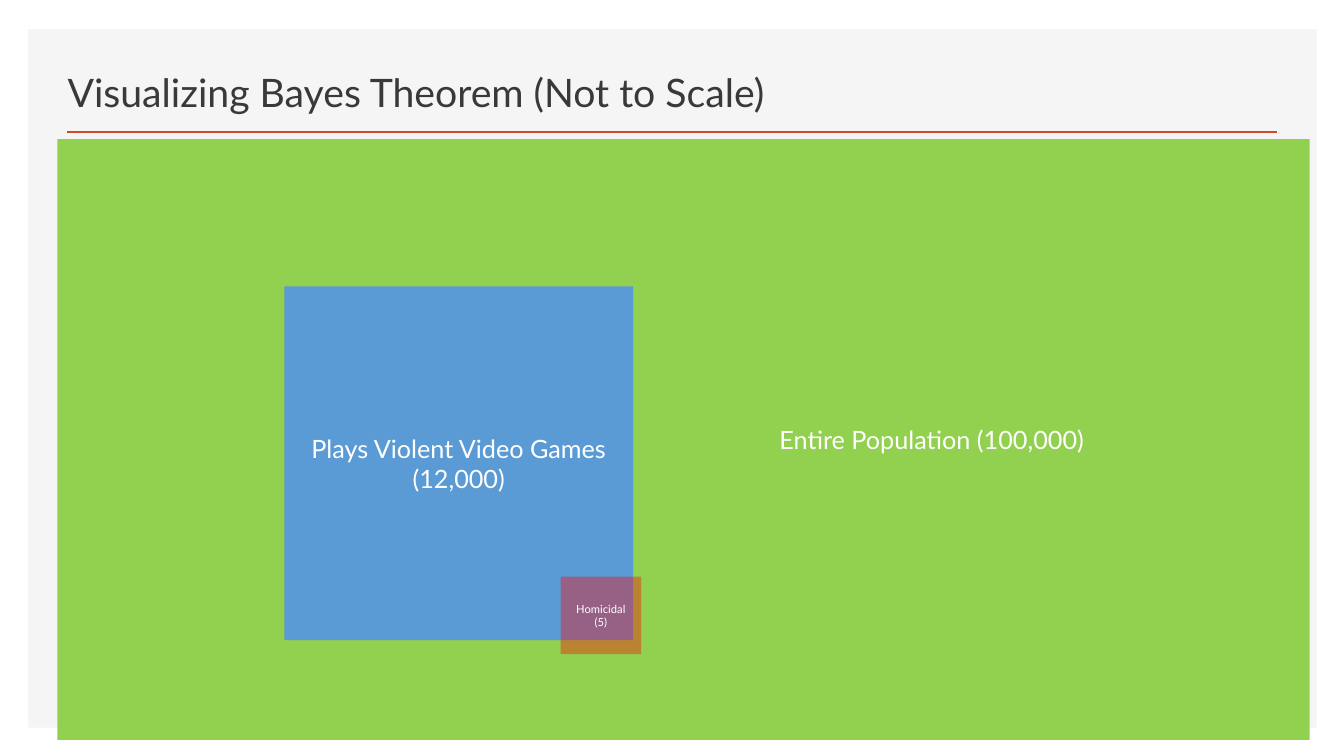
from dataclasses import dataclass

from lxml import etree
from pptx import Presentation
from pptx.dml.color import RGBColor
from pptx.enum import shapes, text
from pptx.oxml import ns
from pptx.util import Inches, Pt

FONT = "Lato"
WHITE = RGBColor(0xFF, 0xFF, 0xFF)
PALE = RGBColor(0xF5, 0xF5, 0xF5)
INK = RGBColor(0x3B, 0x38, 0x38)
RUST = RGBColor(0xD2, 0x47, 0x26)
GREEN = RGBColor(0x92, 0xD0, 0x50)
BLUE = RGBColor(0x5B, 0x9B, 0xD5)
RED = RGBColor(0xFF, 0x00, 0x00)


@dataclass
class Area:
    left: float
    top: float
    width: float
    height: float
    fill: RGBColor
    label: str = ""
    size: float = 18
    inset: float = 0.1
    alpha: int = 100


AREAS = [
    Area(0.28, 0.29, 12.78, 6.93, PALE),
    Area(0.57, 1.38, 12.42, 5.96, GREEN, "Entire Population (100,000)", inset=5.02),
    Area(2.82, 2.84, 3.46, 3.51, BLUE, "Plays Violent Video Games\n(12,000)"),
    Area(5.56, 5.72, 0.8, 0.77, RED, "Homicidal\n(5)", size=8, alpha=37),
]


def write(shape, words: str, *, size: float, color: RGBColor = WHITE,
          align=text.PP_ALIGN.CENTER, anchor=text.MSO_ANCHOR.MIDDLE,
          inset: float = 0.1) -> None:
    frame = shape.text_frame
    frame.text = words
    frame.word_wrap = True
    frame.auto_size = text.MSO_AUTO_SIZE.NONE
    frame.vertical_anchor = anchor
    frame.margin_left = Inches(inset)
    for para in frame.paragraphs:
        para.alignment = align
        para.font.name = FONT
        para.font.size = Pt(size)
        para.font.color.rgb = color


def draw_area(slide, area: Area) -> None:
    box = slide.shapes.add_shape(
        shapes.MSO_SHAPE.RECTANGLE, Inches(area.left), Inches(area.top),
        Inches(area.width), Inches(area.height))
    box.shadow.inherit = False
    box.line.fill.background()
    box.fill.solid()
    box.fill.fore_color.rgb = area.fill
    if area.alpha < 100:
        color = box._element.spPr.find(".//" + ns.qn("a:srgbClr"))
        etree.SubElement(color, ns.qn("a:alpha"), val=str(area.alpha * 1000))
    if area.label:
        write(box, area.label, size=area.size, inset=area.inset)


def draw_rule(slide) -> None:
    rule = slide.shapes.add_connector(
        shapes.MSO_CONNECTOR.STRAIGHT,
        Inches(0.66), Inches(1.31), Inches(12.67), Inches(1.31))
    rule.line.color.rgb = RUST
    rule.line.width = Pt(2)
    etree.SubElement(rule._element.spPr, ns.qn("a:effectLst"))


def set_title(slide) -> None:
    """Format the title and bring it in front of the panel."""
    title = slide.shapes.title
    title.left, title.top = Inches(0.57), Inches(0.49)
    title.width, title.height = Inches(7.52), Inches(0.7)
    write(title, "Visualizing Bayes Theorem (Not to Scale)", size=28, color=INK,
          align=text.PP_ALIGN.LEFT, anchor=text.MSO_ANCHOR.BOTTOM)
    slide.shapes._spTree.append(title._element)


def main() -> None:
    deck = Presentation()
    deck.slide_width, deck.slide_height = Inches(13.33), Inches(7.5)
    slide = deck.slides.add_slide(deck.slide_layouts[5])
    for area in AREAS:
        draw_area(slide, area)
    draw_rule(slide)
    set_title(slide)
    deck.save("out.pptx")


if __name__ == "__main__":
    main()
